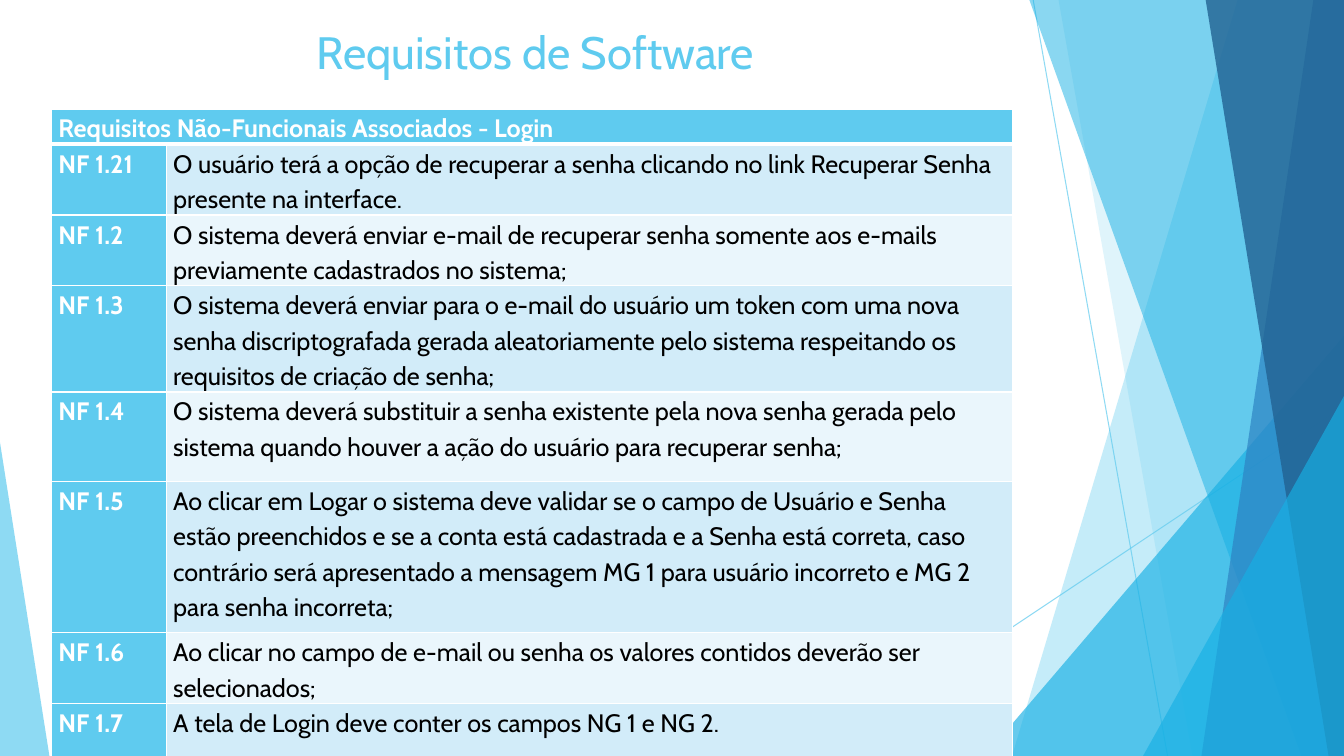
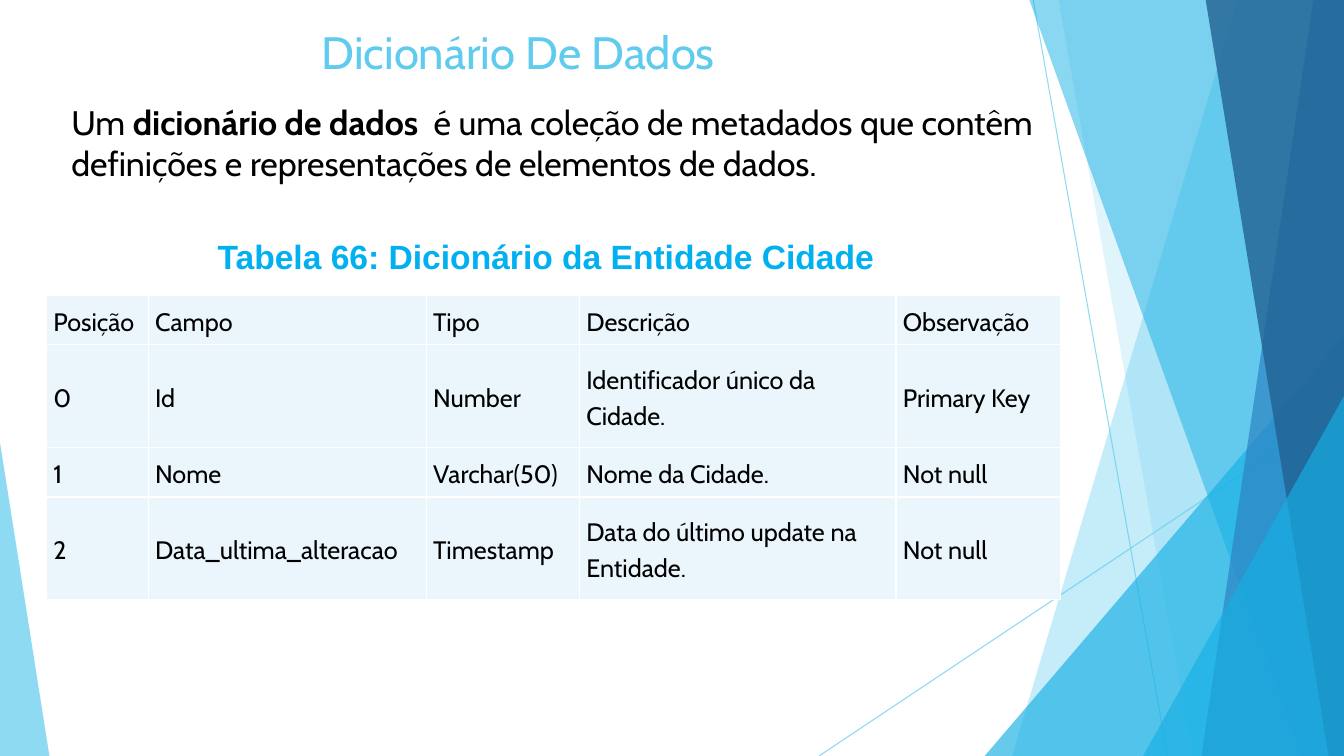
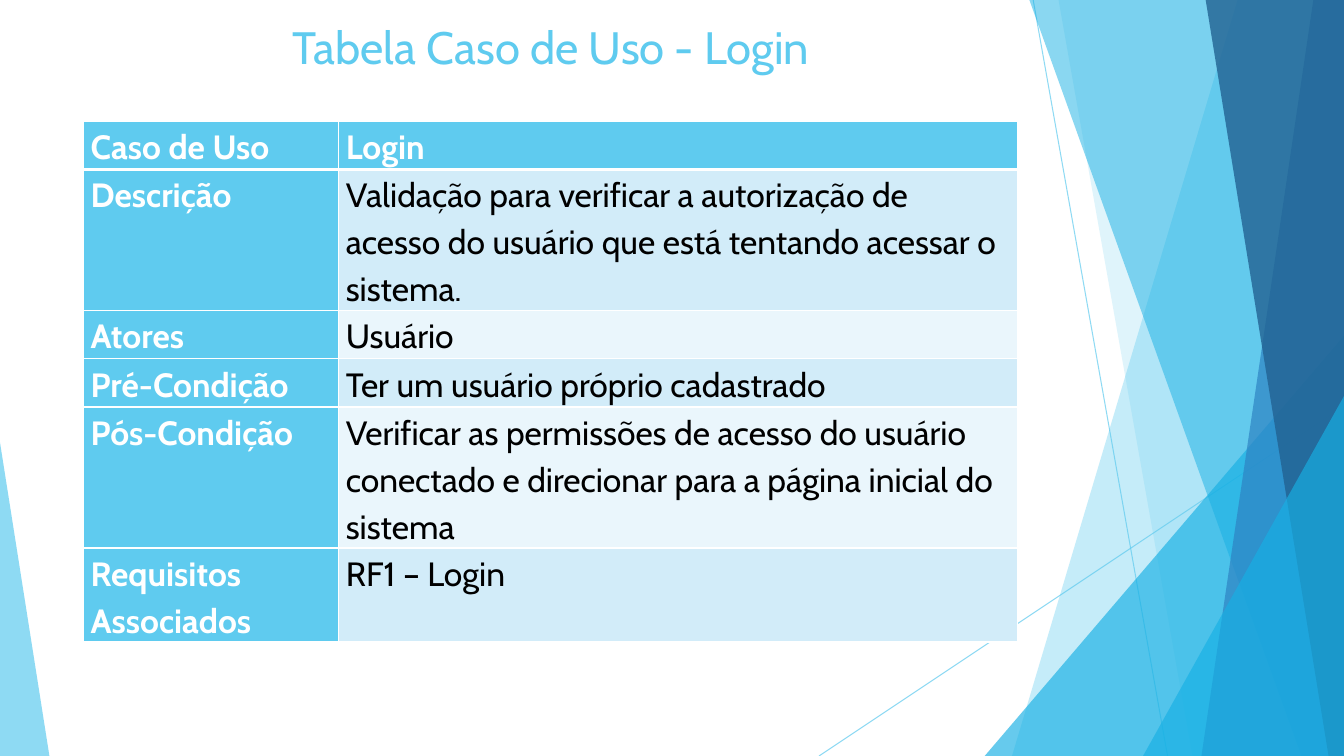
"""Builds three slides on software requirements, a data dictionary and a use case."""
from lxml import etree
from pptx import Presentation
from pptx import util as u
from pptx.dml import color as c
from pptx.enum import shapes as s, text as t
from pptx.oxml import ns

WIDTH, HEIGHT = 960, 540
SKY, CYAN, BLUE, NAVY = "5FCBEF", "17B0E4", "2E83C3", "226292"
CAPTION, BLACK, WHITE = "00B0F0", "000000", "FFFFFF"
STRIPES = ("D2ECF9", "EAF6FC")
FONT = "Cabin"

RAYS = [(738, 0, 834, 540), (960, 290, 585, 540)]
FACETS = [
    ("band", (884.2, 722.9), SKY, 36),
    ("band", (756, 851.8), SKY, 20),
    ("triangle", (703.4, 239.8, 256.6, 300.2, 1), CYAN, 66),
    ("band", (735.1, 929.5), CYAN, 50),
    ("band", (938.2, 858.2), BLUE, 70),
    ("band", (861.1, 949), NAVY, 80),
    ("triangle", (816.5, 283, 143.5, 257, 1), CYAN, 66),
    ("triangle", (0, 316.1, 35.3, 223.9, 0), SKY, 70),
]

REQUIREMENTS = [
    ("Requisitos Não-Funcionais Associados - Login", ""),
    ("NF 1.21", "O usuário terá a opção de recuperar a senha clicando no link Recuperar Senha "
                "presente na interface."),
    ("NF 1.2", "O sistema deverá enviar e-mail de recuperar senha somente aos e-mails "
               "previamente cadastrados no sistema;"),
    ("NF 1.3", "O sistema deverá enviar para o e-mail do usuário um token com uma nova senha "
               "discriptografada gerada aleatoriamente pelo sistema respeitando os requisitos "
               "de criação de senha;"),
    ("NF 1.4", "O sistema deverá substituir a senha existente pela nova senha gerada pelo "
               "sistema quando houver a ação do usuário para recuperar senha;"),
    ("NF 1.5", "Ao clicar em Logar o sistema deve validar se o campo de Usuário e Senha estão "
               "preenchidos e se a conta está cadastrada e a Senha está correta, caso contrário "
               "será apresentado a mensagem MG 1 para usuário incorreto e MG 2 para senha "
               "incorreta;"),
    ("NF 1.6", "Ao clicar no campo de e-mail ou senha os valores contidos deverão ser "
               "selecionados;"),
    ("NF 1.7", "A tela de Login deve conter os campos NG 1 e NG 2."),
]
DICTIONARY = [
    ("Posição", "Campo", "Tipo", "Descrição", "Observação"),
    ("0", "Id", "Number", "Identificador único da Cidade.", "Primary Key"),
    ("1", "Nome", "Varchar(50)", "Nome da Cidade.", "Not null"),
    ("2", "Data_ultima_alteracao", "Timestamp", "Data do último update na Entidade.", "Not null"),
]
USE_CASE = [
    ("Caso de Uso", "Login"),
    ("Descrição", "Validação para verificar a autorização de acesso do usuário que está tentando "
                  "acessar o sistema."),
    ("Atores", "Usuário"),
    ("Pré-Condição", "Ter um usuário próprio cadastrado"),
    ("Pós-Condição", "Verificar as permissões de acesso do usuário conectado e direcionar para a "
                     "página inicial do sistema"),
    ("Requisitos Associados", "RF1 – Login"),
]
DEFINITION = [
    ("Um ", False),
    ("dicionário de dados  ", True),
    ("é uma coleção de metadados que contêm definições e representações de elementos de dados.",
     False),
]
SLIDES = [
    dict(title="Requisitos de Software", title_at=(218.9, 12.2, 350.6, 49.7),
         rows=REQUIREMENTS, at=(36.7, 77.8), cols=(82, 604.4),
         heights=(24, 48, 48, 72, 64, 108, 48, 42.5), size=18, headed=True),
    dict(title="Dicionário De Dados", title_at=(222.5, 11.5, 357.8, 49.7),
         rows=DICTIONARY, at=(33.1, 211), cols=(72.7, 198.7, 109.4, 226.1, 117.4),
         heights=(35.3, 73.4, 35.3, 73.4), size=18, headed=False),
    dict(title="Tabela Caso de Uso - Login", title_at=(201.6, 8.6, 403.2, 49.7),
         rows=USE_CASE, at=(59.8, 86.4), cols=(182.2, 484.6),
         heights=(34.6, 71.3, 34.6, 34.6, 71.3, 34.6), size=24, headed=True),
]


def rgb(value):
    return c.RGBColor.from_string(value)


def points(values):
    return [u.Pt(value) for value in values]


def style(span, size, color, bold=False, font=FONT):
    span.font.name, span.font.size, span.font.bold = font, u.Pt(size), bold
    span.font.color.rgb = rgb(color)


def set_alpha(shape, percent):
    for color in shape.element.xpath(".//a:srgbClr"):
        etree.SubElement(color, ns.qn("a:alpha")).set("val", str(percent * 1000))


def draw_backdrop(page):
    group = page.shapes.add_group_shape()
    for ray in RAYS:
        line = group.shapes.add_connector(s.MSO_CONNECTOR.STRAIGHT, *points(ray))
        line.line.color.rgb, line.line.width = rgb(SKY), u.Pt(0.75)
        etree.SubElement(line.element.spPr, ns.qn("a:effectLst"))
        set_alpha(line, 70)
    for kind, geometry, color, alpha in FACETS:
        if kind == "band":
            top, bottom = geometry
            outline = group.shapes.build_freeform(*points((top, -0.6)), scale=1.0)
            corners = [(WIDTH, -0.6), (WIDTH, HEIGHT), (bottom, HEIGHT)]
            outline.add_line_segments([points(corner) for corner in corners], close=True)
            facet = outline.convert_to_shape()
        else:
            facet = group.shapes.add_shape(s.MSO_SHAPE.ISOSCELES_TRIANGLE, *points(geometry[:4]))
            facet.adjustments[0] = geometry[4]
        facet.shadow.inherit = False
        facet.fill.solid()
        facet.fill.fore_color.rgb = rgb(color)
        facet.line.fill.background()
        set_alpha(facet, alpha)
    return group


def move_to_layout(group, layout):
    for number, properties in enumerate(group.element.xpath(".//p:cNvPr"), 100):
        properties.set("id", str(number))
    layout.shapes.element.append(group.element)


def add_title(page, title, at):
    box = page.shapes.title
    box.left, box.top, box.width, box.height = points(at)
    frame = box.text_frame
    frame.text = title
    frame.vertical_anchor = t.MSO_ANCHOR.MIDDLE
    frame.auto_size = t.MSO_AUTO_SIZE.NONE
    frame.paragraphs[0].alignment = t.PP_ALIGN.LEFT
    style(frame.paragraphs[0].runs[0], 32.4, SKY)


def add_borders(cell, bottom):
    properties = cell._tc.get_or_add_tcPr()
    for side, width in (("L", 1), ("R", 1), ("T", 1), ("B", bottom)):
        line = etree.SubElement(properties, ns.qn("a:ln" + side), w=str(u.Pt(width)))
        fill = etree.SubElement(line, ns.qn("a:solidFill"))
        etree.SubElement(fill, ns.qn("a:srgbClr"), val=WHITE)


def fill_cell(cell, words, size, heading, color, bottom):
    add_borders(cell, bottom)
    cell.margin_left = cell.margin_right = u.Pt(5)
    cell.margin_top = cell.margin_bottom = 0
    cell.fill.solid()
    cell.fill.fore_color.rgb = rgb(color)
    para = cell.text_frame.paragraphs[0]
    para.line_spacing = 1.15
    if words:
        para.text = words
        style(para.runs[0], size, WHITE if heading else BLACK, heading)


def add_grid(page, rows, at, cols, heights, size, headed):
    frame = page.shapes.add_table(len(rows), len(cols), *points((*at, sum(cols), sum(heights))))
    table = frame.table
    table.first_row = table.horz_banding = False
    for column, width in zip(table.columns, cols):
        column.width = u.Pt(width)
    for row, height in zip(table.rows, heights):
        row.height = u.Pt(height)
    for i, row in enumerate(rows):
        for j, words in enumerate(row):
            heading = headed and (i == 0 or j == 0)
            color = SKY if heading else STRIPES[(i - 1) % 2 if headed else 1]
            fill_cell(table.cell(i, j), words, size, heading, color, 3 if headed and i == 0 else 1)
    return table


def space_requirements_header(table):
    header = table.cell(0, 0)
    header.merge(table.cell(0, 1))
    header.vertical_anchor = t.MSO_ANCHOR.MIDDLE
    para = header.text_frame.paragraphs[0]
    para.space_before = para.space_after = u.Pt(2)


def space_dictionary(table):
    for cell in table.iter_cells():
        cell.vertical_anchor = t.MSO_ANCHOR.MIDDLE
        cell.text_frame.paragraphs[0].space_after = u.Pt(10)


def add_dictionary_text(page):
    frame = page.shapes.add_textbox(*points((43.9, 69.1, 715, 63.4))).text_frame
    frame.word_wrap = True
    for words, bold in DEFINITION:
        span = frame.paragraphs[0].add_run()
        span.text = words
        style(span, 24.3, BLACK, bold)
    frame = page.shapes.add_textbox(*points((146.2, 164.9, 487.4, 36))).text_frame
    frame.word_wrap = False
    frame.auto_size = t.MSO_AUTO_SIZE.SHAPE_TO_FIT_TEXT
    para = frame.paragraphs[0]
    para.text = "Tabela 66: Dicionário da Entidade Cidade"
    para.alignment = t.PP_ALIGN.CENTER
    para.space_before = para.space_after = u.Pt(6)
    style(para.runs[0], 24, CAPTION, True, "Arial")


def main():
    deck = Presentation()
    deck.slide_width, deck.slide_height = points((WIDTH, HEIGHT))
    layout = deck.slide_layouts[5]
    pages = [deck.slides.add_slide(layout) for _ in SLIDES]
    move_to_layout(draw_backdrop(pages[0]), layout)
    tables = []
    for page, content in zip(pages, SLIDES):
        add_title(page, content["title"], content["title_at"])
        tables.append(add_grid(page, *(content[key] for key in (
            "rows", "at", "cols", "heights", "size", "headed"))))
    space_requirements_header(tables[0])
    space_dictionary(tables[1])
    add_dictionary_text(pages[1])
    deck.save("out.pptx")


if __name__ == "__main__":
    main()
